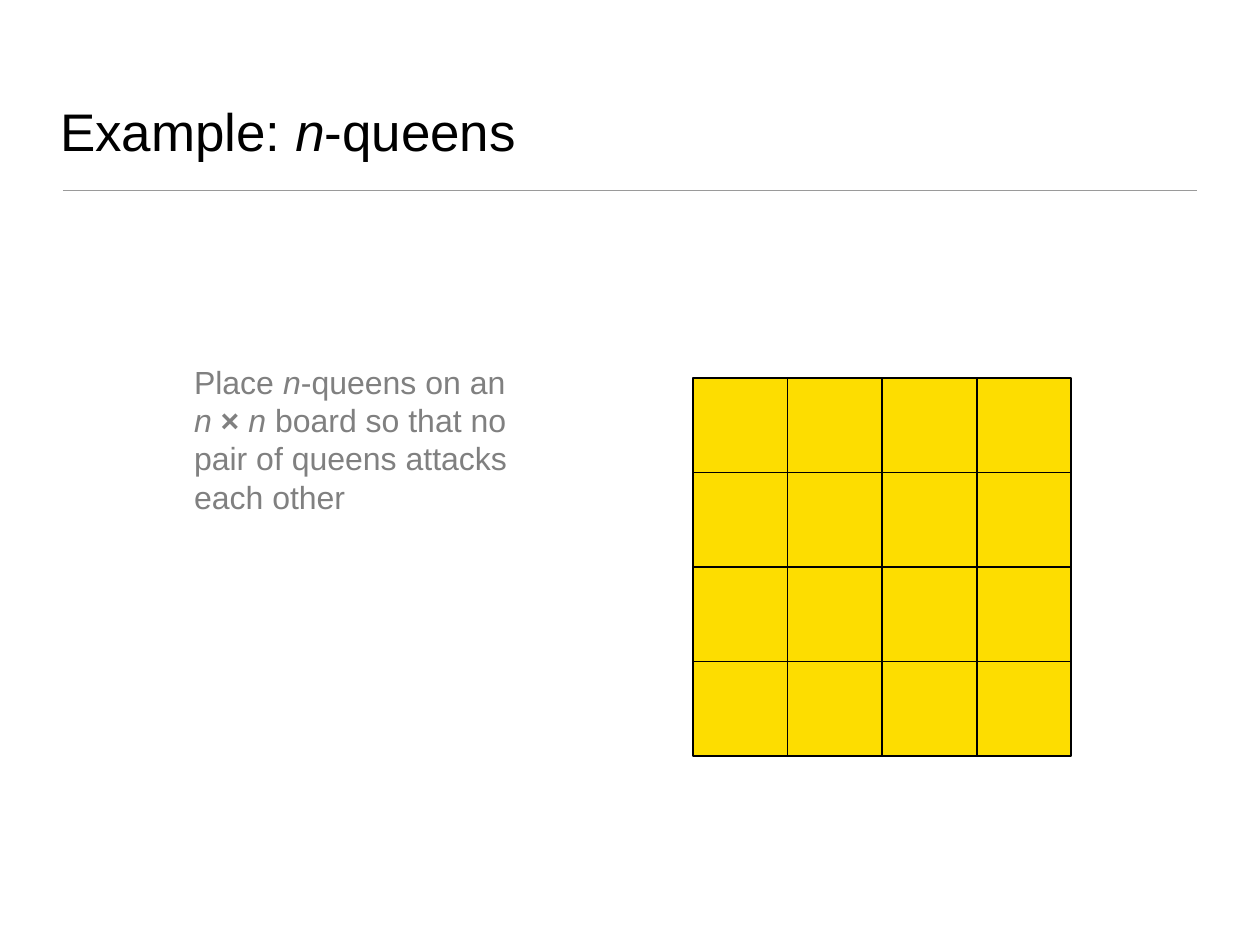
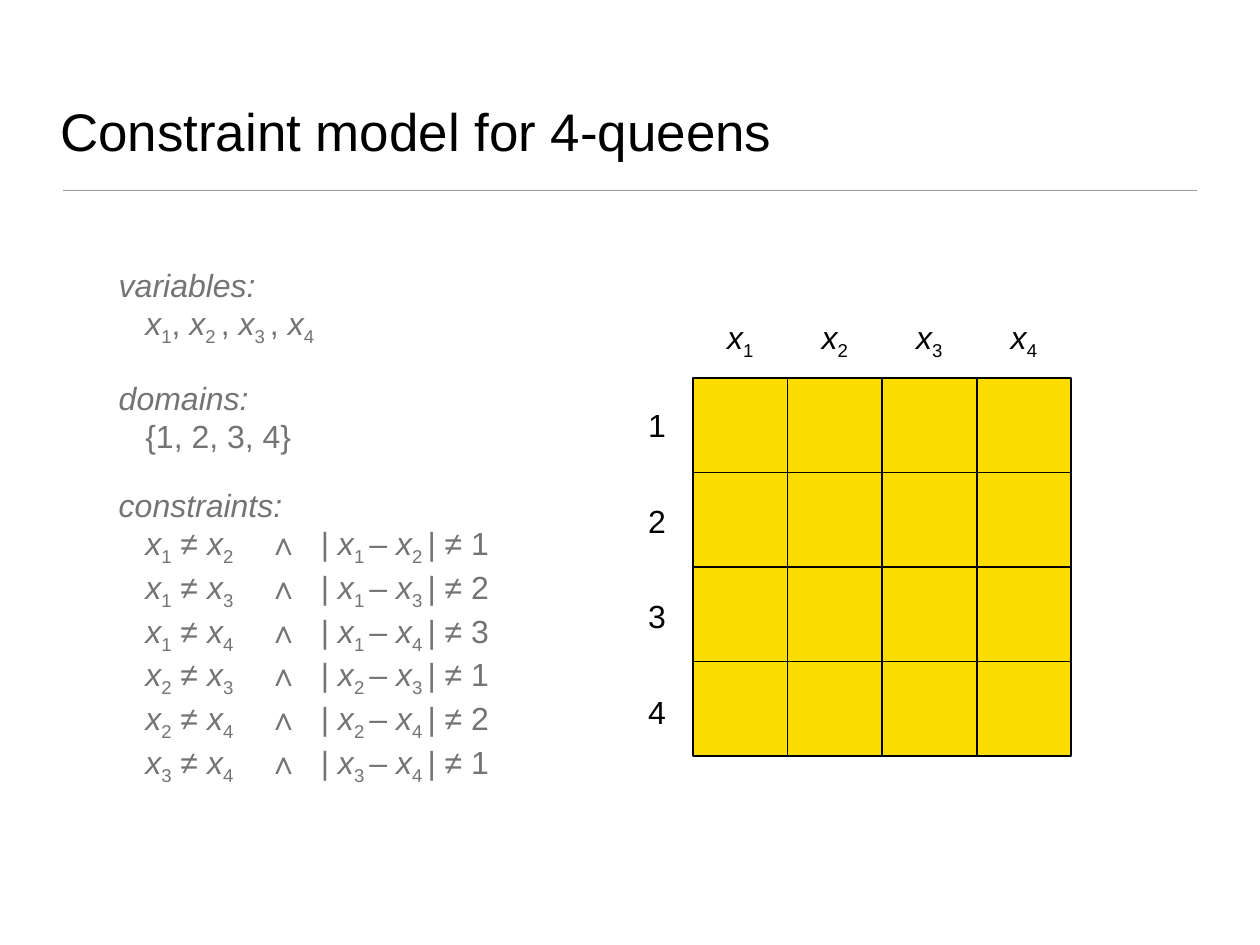
from lxml import etree
from pptx import Presentation
from pptx import util as u
from pptx.dml.color import RGBColor
from pptx.enum import shapes, text
from pptx.oxml import ns

W, H = 14.22, 10.67
N = 4
CELL = H / 10
BOARD_X, BOARD_Y, BOARD = 0.55 * W, 0.4 * H, N * CELL
RULE_Y = 2.15
FONT, BODY_SIZE, TITLE_SIZE = "Arial", 26, 43
COLORS = {"ink": "000000", "rule": "9A9A9A", "board": "FDDD00",
          "task": "808080", "model": "747474"}
TABS = (0.3, 1.68, 2.28)
HEADING_GAP = 25
CENTER = text.PP_ALIGN.CENTER
MIDDLE, BOTTOM = text.MSO_ANCHOR.MIDDLE, text.MSO_ANCHOR.BOTTOM


def write(s, box, lines, color="ink", size=BODY_SIZE, align=None,
          anchor=None, inset=(0.14, 0.07)):
    """Add a text box; in its lines * toggles italic, ^ bold and _ subscript."""
    tf = s.shapes.add_textbox(*map(u.Inches, box)).text_frame
    tf.word_wrap = True
    tf.vertical_anchor = anchor
    tf.margin_left = tf.margin_right = u.Inches(inset[0])
    tf.margin_top = tf.margin_bottom = u.Inches(inset[1])
    for i, line in enumerate(lines):
        p = tf.add_paragraph() if i else tf.paragraphs[0]
        p.alignment = align
        if i and line.endswith(":*"):
            p.space_before = u.Pt(HEADING_GAP)
        if "\t" in line:
            tabs = etree.SubElement(p._p.get_or_add_pPr(), ns.qn("a:tabLst"))
            for pos in TABS:
                etree.SubElement(tabs, ns.qn("a:tab"), pos=str(u.Inches(pos)), algn="l")
        p.font.name, p.font.size = FONT, u.Pt(size)
        p.font.color.rgb = RGBColor.from_string(COLORS[color])
        style = {"*": False, "^": False, "_": False}
        r = None
        for ch in line:
            if ch in style:
                style[ch] = not style[ch]
                r = None
                continue
            if r is None:
                r = p.add_run()
                if style["*"]:
                    r.font.italic = True
                if style["^"]:
                    r.font.bold = True
                if style["_"]:
                    r.font._element.set("baseline", "-25000")
            r.text += ch


def line(s, x1, y1, x2, y2, color, width):
    c = s.shapes.add_connector(shapes.MSO_CONNECTOR.STRAIGHT,
                               *map(u.Inches, (x1, y1, x2, y2)))
    c.line.color.rgb = RGBColor.from_string(COLORS[color])
    c.line.width = u.Pt(width)
    etree.SubElement(c._element.spPr, ns.qn("a:effectLst"))
    return c


prs = Presentation()
prs.slide_width, prs.slide_height = u.Inches(W), u.Inches(H)

# Title, rule and board on both slides
slides = []
for title in ("Example: *n*-queens", "Constraint model for 4-queens"):
    s = prs.slides.add_slide(prs.slide_layouts[6])
    slides.append(s)
    line(s, 0.05 * W, RULE_Y, 0.95 * W, RULE_Y, "rule", 0.75)
    write(s, (0.62, 0.36, 12.97, 1.53), [title], size=TITLE_SIZE,
          anchor=BOTTOM, inset=(0.06, 0.06))

    board = s.shapes.add_shape(shapes.MSO_SHAPE.RECTANGLE,
                               *map(u.Inches, (BOARD_X, BOARD_Y, BOARD, BOARD)))
    board.shadow.inherit = False
    board.fill.solid()
    board.fill.fore_color.rgb = RGBColor.from_string(COLORS["board"])
    board.line.color.rgb = RGBColor.from_string(COLORS["ink"])
    board.line.width = u.Pt(1.5)
    for i in range(1, N):
        x, y = BOARD_X + i * CELL, BOARD_Y + i * CELL
        column = line(s, x, BOARD_Y, x, BOARD_Y + BOARD, "ink", 1.5)
        row = line(s, BOARD_X, y, BOARD_X + BOARD, y, "ink", 1.5)
        if 2 * i == N:
            column.begin_connect(board, 0)
            column.end_connect(board, 2)
            row.begin_connect(board, 1)
            row.end_connect(board, 3)

# Slide 1: the task
problem, model = slides
write(problem, (2.05, 4.02, 4.04, 1.88),
      ["Place *n*-queens on an *n* ^×^ *n* board so that no pair of queens "
       "attacks each other"], "task")

# Slide 2: board labels and the constraint model
for i in range(N):
    write(model, (BOARD_X + i * CELL, 3.51, CELL, 0.58), [f"*x*_{i + 1}_"], align=CENTER)
    write(model, (7.06, 4.51 + 1.08 * i, 0.71, 0.58), [str(i + 1)], align=CENTER)

constraints = [f"\t*x*_{a}_ ≠ *x*_{b}_\t∧\t| *x*_{a} _– *x*_{b} _| ≠ {b - a}"
               for a in range(1, N) for b in range(a + 1, N + 1)]
write(model, (1.2, 3.15, 5.59, 5.57),
      ["*variables:*", "\t*x*_1_, *x*_2 _, *x*_3 _, *x*_4_",
       "*domains:*", "\t{1, 2, 3, 4}",
       "*constraints:*", *constraints], "model", anchor=MIDDLE)

prs.save("out.pptx")
